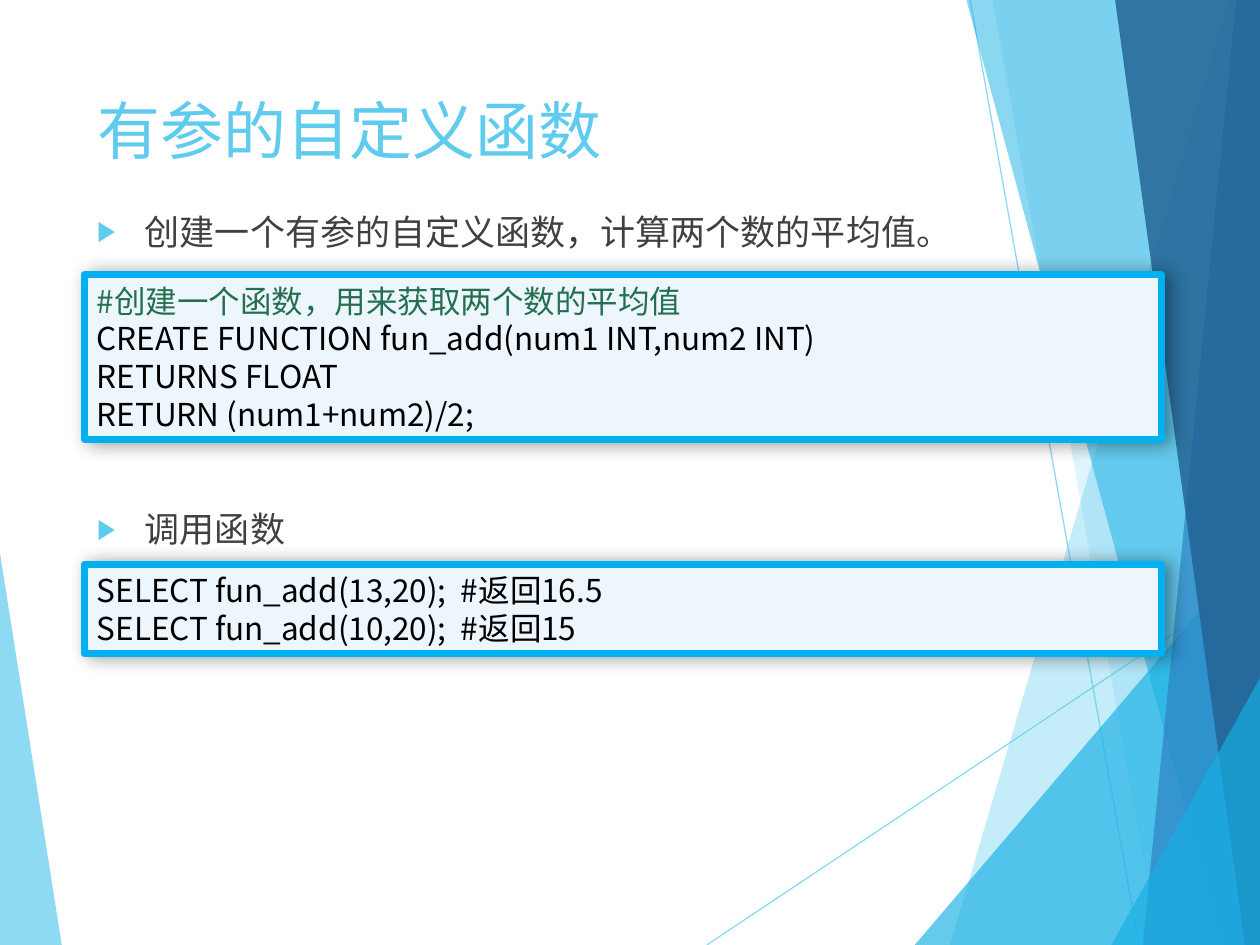
from lxml.etree import SubElement
from pptx import Presentation
from pptx.dml.color import RGBColor
from pptx.enum.shapes import MSO_CONNECTOR, MSO_SHAPE
from pptx.enum.text import MSO_ANCHOR, MSO_AUTO_SIZE, PP_ALIGN
from pptx.oxml.ns import qn
from pptx.util import Inches, Pt

COLUMNS, ROWS = 1000, 750
SLIDE_WIDTH, SLIDE_HEIGHT = Inches(10), Inches(7.5)
COLUMN, ROW = SLIDE_WIDTH // COLUMNS, SLIDE_HEIGHT // ROWS
MARGIN = 67
FONT = "Noto Sans CJK SC"
COLORS = {
    "sky": "5FCBEF",
    "cyan": "17B0E4",
    "blue": "2E83C3",
    "navy": "226292",
    "body": "404040",
    "code": "000000",
    "comment": "236F50",
    "panel": "EDF5FD",
    "border": "00B0F0",
}
RAYS = [((561, ROWS), (COLUMNS, 457)), ((770, 0), (904, ROWS))]
FACETS = [
    ("sky", 70, [(0, 439), (49, ROWS), (0, ROWS)]),
    ("sky", 36, [(975, 0), (754, ROWS), (COLUMNS, ROWS), (COLUMNS, 0)]),
    ("sky", 20, [(788, 0), (919, ROWS), (COLUMNS, ROWS), (COLUMNS, 0)]),
    ("cyan", 66, [(726, ROWS), (COLUMNS, 429), (COLUMNS, ROWS)]),
    ("cyan", 50, [(767, 0), (970, ROWS), (COLUMNS, ROWS), (COLUMNS, 0)]),
    ("blue", 70, [(981, 0), (907, ROWS), (COLUMNS, ROWS), (COLUMNS, 0)]),
    ("navy", 82, [(885, 0), (988, ROWS), (COLUMNS, ROWS), (COLUMNS, 0)]),
    ("cyan", 66, [(882, ROWS), (COLUMNS, 538), (COLUMNS, ROWS)]),
]
TITLE = "有参的自定义函数"
BULLETS = [("创建一个有参的自定义函数，计算两个数的平均值。", 10), ("调用函数", 146)]
DEFINITION = [
    ("#创建一个函数，用来获取两个数的平均值", "comment"),
    ("CREATE FUNCTION fun_add(num1 INT,num2 INT)", "code"),
    ("RETURNS FLOAT", "code"),
    ("RETURN (num1+num2)/2;", "code"),
]
CALLS = [
    ("SELECT fun_add(13,20);  #返回16.5", "code"),
    ("SELECT fun_add(10,20);  #返回15", "code"),
]


def color(name):
    return RGBColor.from_string(COLORS[name])


def place(shape, column, row, columns, rows):
    shape.left, shape.top = column * COLUMN, row * ROW
    shape.width, shape.height = columns * COLUMN, rows * ROW


def set_opacity(format_element, percent):
    for tone in format_element.iter(qn("a:srgbClr")):
        SubElement(tone, qn("a:alpha"), val=str(percent * 1000))


def write(paragraph, text, size, color_name):
    paragraph.text = text
    paragraph.alignment = PP_ALIGN.LEFT
    for span in paragraph.runs:
        span.font.size = Pt(size)
        span.font.name = FONT
        span.font.color.rgb = color(color_name)
        SubElement(span.font._element, qn("a:ea"), typeface=FONT)


def paragraphs_for(frame, lines):
    frame.text = "\n".join(lines)
    return frame.paragraphs


def add_ray(page, start, end):
    ray = page.shapes.add_connector(
        MSO_CONNECTOR.STRAIGHT,
        start[0] * COLUMN, start[1] * ROW, end[0] * COLUMN, end[1] * ROW,
    )
    ray.line.color.rgb = color("sky")
    ray.line.width = Pt(0.75)
    properties = ray._element.spPr
    set_opacity(properties, 70)
    SubElement(properties, qn("a:effectLst"))


def add_facet(page, color_name, opacity, points):
    builder = page.shapes.build_freeform(*points[0], scale=COLUMN)
    builder.add_line_segments(points[1:], close=True)
    facet = builder.convert_to_shape()
    facet.shadow.inherit = False
    facet.fill.solid()
    facet.fill.fore_color.rgb = color(color_name)
    facet.line.fill.background()
    set_opacity(facet._element.spPr, opacity)


def add_bullet(paragraph):
    properties = paragraph._p.get_or_add_pPr()
    properties.set("marL", str(Inches(0.38)))
    properties.set("indent", str(-Inches(0.38)))
    tone = SubElement(properties, qn("a:buClr"))
    SubElement(tone, qn("a:srgbClr"), val=COLORS["sky"])
    SubElement(properties, qn("a:buSzPct"), val="80000")
    SubElement(properties, qn("a:buChar"), char="▶")


def fill_title(title):
    place(title, MARGIN, 67, 843, 71)
    frame = title.text_frame
    frame.auto_size = MSO_AUTO_SIZE.NONE
    frame.vertical_anchor = MSO_ANCHOR.MIDDLE
    write(frame.paragraphs[0], TITLE, 36, "sky")


def fill_body(body):
    place(body, MARGIN, 162, 843, 482)
    frame = body.text_frame
    frame.auto_size = MSO_AUTO_SIZE.NONE
    lines = paragraphs_for(frame, [text for text, gap in BULLETS])
    for paragraph, (text, gap) in zip(lines, BULLETS):
        write(paragraph, text, 20, "body")
        paragraph.space_before = Pt(gap)
        add_bullet(paragraph)


def add_soft_shadow(shape):
    shape.shadow.inherit = False
    effects = shape._element.spPr.find(qn("a:effectLst"))
    shadow = SubElement(effects, qn("a:outerShdw"), blurRad=str(Pt(10)),
                        dist=str(Pt(3)), dir="0", rotWithShape="0")
    tone = SubElement(shadow, qn("a:srgbClr"), val=COLORS["code"])
    SubElement(tone, qn("a:alpha"), val="40000")


def add_code_box(page, row, rows, code):
    box = page.shapes.add_shape(MSO_SHAPE.RECTANGLE, 0, 0, COLUMN, ROW)
    place(box, MARGIN, row, 855, rows)
    box.fill.solid()
    box.fill.fore_color.rgb = color("panel")
    box.line.color.rgb = color("border")
    box.line.width = Pt(4)
    SubElement(box.line._ln, qn("a:round"))
    add_soft_shadow(box)
    frame = box.text_frame
    frame.word_wrap = True
    frame.vertical_anchor = MSO_ANCHOR.MIDDLE
    lines = paragraphs_for(frame, [text for text, tone in code])
    for paragraph, (text, tone) in zip(lines, code):
        write(paragraph, text, 18, tone)


def main():
    deck = Presentation()
    deck.slide_width, deck.slide_height = SLIDE_WIDTH, SLIDE_HEIGHT
    page = deck.slides.add_slide(deck.slide_layouts[1])
    title, body = page.placeholders
    for start, end in RAYS:
        add_ray(page, start, end)
    for color_name, opacity, points in FACETS:
        add_facet(page, color_name, opacity, points)
    for holder in (title, body):
        page.shapes._spTree.append(holder._element)
    fill_title(title)
    fill_body(body)
    add_code_box(page, 218, 131, DEFINITION)
    add_code_box(page, 448, 71, CALLS)
    deck.save("out.pptx")


main()
